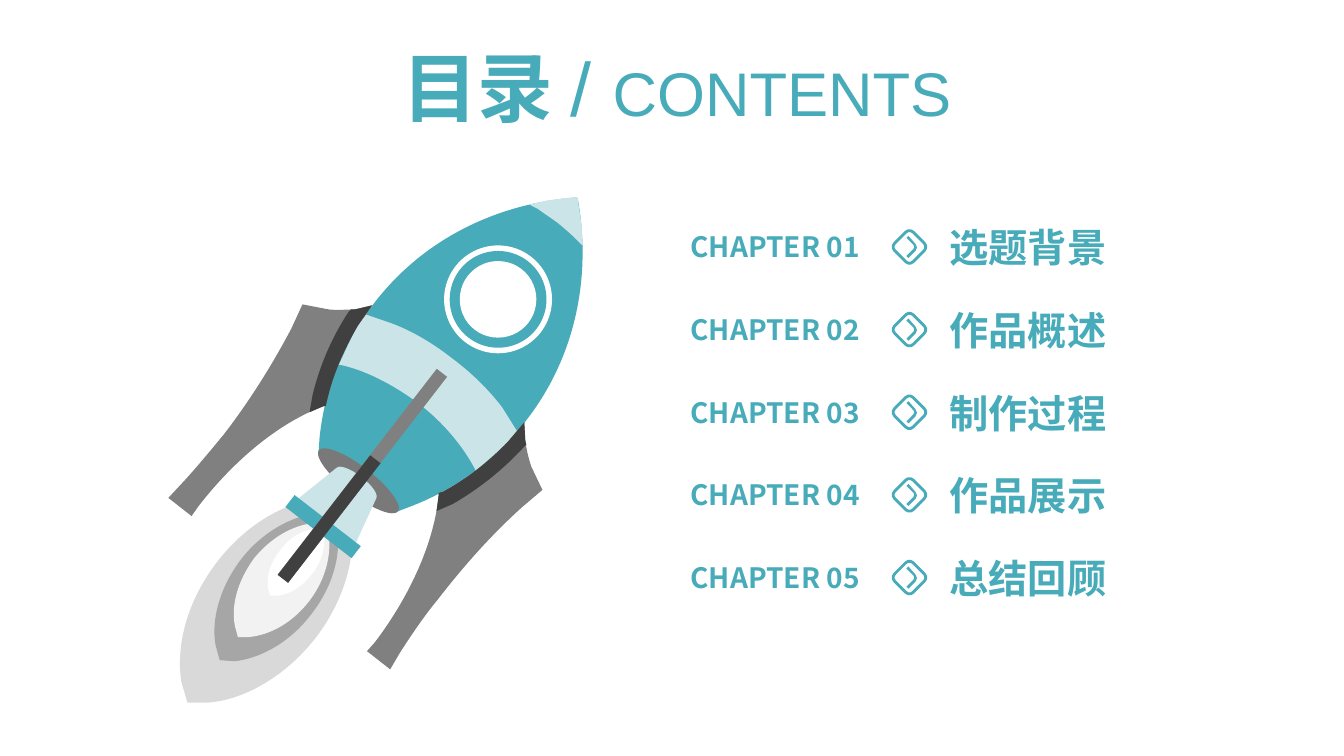
import pptx
import pptx.util
import pptx.dml.color
import pptx.enum.shapes
import pptx.enum.text
import pptx.oxml.ns
import lxml.etree
from pptx.util import Inches

RGBColor = pptx.dml.color.RGBColor
SHAPE = pptx.enum.shapes.MSO_SHAPE
TEXT = pptx.enum.text
qn = pptx.oxml.ns.qn

TEAL = RGBColor(0x47, 0xAB, 0xB9)
PALE = RGBColor(0xCB, 0xE4, 0xE8)
WHITE = RGBColor(0xFF, 0xFF, 0xFF)
GLOW = RGBColor(0xF2, 0xF2, 0xF2)
SMOKE = RGBColor(0xD9, 0xD9, 0xD9)
ASH = RGBColor(0xA6, 0xA6, 0xA6)
GREY = RGBColor(0x80, 0x80, 0x80)
NOZZLE = RGBColor(0x79, 0x79, 0x79)
DARK = RGBColor(0x40, 0x40, 0x40)

CJK = "Noto Sans CJK SC"
CHAPTERS = ["选题背景", "作品概述", "制作过程", "作品展示", "总结回顾"]
ROW_PITCH = 0.82
TILT = 37.7

# Outlines in inches: commas part the segments.
# Two numbers are a corner, six are a Bezier curve.
CHEVRON = ("9.01 2.34, 9.08 2.42, 9.1 2.44 9.1 2.47 9.08 2.49, 9.01 2.56, 8.99 2.54, "
           "9.06 2.47, 9.07 2.46 9.07 2.44 9.06 2.43, 8.99 2.36")
HULL = ("5.72 1.96, 5.73 1.97, 5.87 2.74 5.71 3.54 5.22 4.17, 4.91 4.57 4.51 4.86 4.06 5.03, "
        "3.93 5.08, 3.89 5.09, 3.8 5.08 3.64 5 3.47 4.87, 3.31 4.75 3.19 4.61 3.16 4.52, "
        "3.16 4.48, 3.17 4.34, 3.22 3.86 3.4 3.4 3.71 3.01, 4.2 2.37 4.93 2.02 5.71 1.96")
FLAMES = [
    (SMOKE, "3.42 4.94, 3.48 5.14, 3.54 5.51 3.42 5.95 3.13 6.33, 2.83 6.71 2.43 6.94 2.07 6.97, "
            "1.86 6.97, 1.8 6.77, 1.74 6.4 1.86 5.96 2.15 5.58, 2.44 5.2 2.84 4.97 3.21 4.94"),
    (ASH, "3.3 5.09, 3.34 5.24, 3.39 5.5 3.3 5.82 3.09 6.09, 2.88 6.37 2.59 6.53 2.33 6.56, "
          "2.18 6.55, 2.14 6.41, 2.09 6.15 2.18 5.83 2.39 5.55, 2.6 5.28 2.89 5.12 3.15 5.09"),
    (GLOW, "3.23 5.19, 3.26 5.3, 3.29 5.5 3.23 5.75 3.07 5.96, 2.9 6.18 2.68 6.3 2.47 6.32, "
           "2.36 6.32, 2.33 6.21, 2.29 6 2.36 5.76 2.52 5.54, 2.69 5.33 2.91 5.21 3.11 5.19"),
    (WHITE, "3.19 5.25, 3.21 5.31, 3.23 5.43 3.19 5.58 3.09 5.7, 3 5.82 2.87 5.9 2.75 5.91, "
            "2.68 5.91, 2.66 5.84, 2.64 5.72 2.68 5.58 2.78 5.46, 2.87 5.33 3 5.26 3.12 5.25"),
]
BANDS = [
    (PALE, "4.49 3.56, 4.68 3.7 4.85 3.87 4.98 4.04, 5.13 4.28, 5.1 4.32, "
           "5.06 4.36 5.02 4.41 4.97 4.45, 4.72 4.67, 4.71 4.65, 4.6 4.44 4.41 4.2 4.15 4, "
           "3.88 3.8 3.61 3.67 3.38 3.62, 3.36 3.62, 3.5 3.32, 3.53 3.26 3.56 3.21 3.6 3.16, "
           "3.63 3.12, 3.89 3.21, 4.1 3.29 4.3 3.41 4.49 3.56"),
    (PALE, "5.72 1.96, 5.73 1.97, 5.74 2.06 5.76 2.16 5.77 2.26, 5.77 2.43, 5.71 2.37, "
           "5.65 2.31 5.59 2.26 5.53 2.21, 5.46 2.16 5.4 2.12 5.33 2.07, 5.25 2.03, 5.42 1.99, "
           "5.52 1.98 5.61 1.96 5.71 1.96"),
]
EXHAUST = ("3.58 4.73, 3.69 4.81 3.76 4.91 3.73 4.95, 3.51 5.43, 2.93 4.97, 3.34 4.64, "
           "3.37 4.61 3.48 4.65 3.58 4.73")
FINS = [
    (GREY, "3.69 3.03, 3.55 3.23, 3.41 3.47 3.3 3.72 3.24 3.99, 3.23 4.03, 3.21 4.03, "
           "2.8 4.18 2.35 4.53 1.97 5.02, 1.9 5.12, 1.67 4.94, 1.8 4.8, "
           "1.94 4.65 2.08 4.48 2.22 4.31, 2.49 3.96 2.71 3.6 2.89 3.26, 3 3.02, 3.26 3.07, "
           "3.35 3.08 3.44 3.07 3.52 3.07"),
    (DARK, "3.69 3.03, 3.55 3.23, 3.41 3.47 3.3 3.72 3.24 3.99, 3.23 4.03, 3.21 4.03, "
           "3.07 4.09, 3.1 3.92, 3.17 3.63 3.29 3.35 3.46 3.09, 3.48 3.07, 3.52 3.07"),
    (GREY, "5.2 4.19, 5.04 4.38, 4.85 4.58 4.63 4.75 4.39 4.88, 4.35 4.89, 4.35 4.92, "
           "4.31 5.35 4.09 5.88 3.72 6.37, 3.64 6.46, 3.87 6.64, 3.97 6.47, "
           "4.08 6.3 4.2 6.12 4.34 5.95, 4.61 5.6 4.89 5.29 5.18 5.03, 5.38 4.86, 5.27 4.63, "
           "5.24 4.54 5.22 4.45 5.21 4.37"),
    (DARK, "5.2 4.19, 5.04 4.38, 4.85 4.58 4.63 4.75 4.39 4.88, 4.35 4.89, 4.35 4.92, "
           "4.33 5.07, 4.49 5, 4.75 4.85 4.99 4.66 5.2 4.43, 5.22 4.41, 5.21 4.37"),
]


def paint(shape, color):
    shape.shadow.inherit = False
    shape.fill.solid()
    shape.fill.fore_color.rgb = color
    shape.line.fill.background()


def add_outline(s, color, outline, dy=0):
    segments = []
    for segment in outline.split(","):
        n = [float(v) for v in segment.split()]
        segments.append([(Inches(x), Inches(y + dy)) for x, y in zip(n[::2], n[1::2])])
    builder = s.shapes.build_freeform(*segments[0][0])
    builder.add_line_segments([point for nodes in segments[1:] for point in nodes])
    shape = builder.convert_to_shape()
    # Join each three nodes of a curve into one Bezier segment
    lines = iter(list(shape._element.iter(qn("a:lnTo"))))
    for nodes in segments[1:]:
        group = [next(lines) for _ in nodes]
        if len(group) == 3:
            curve = lxml.etree.Element(qn("a:cubicBezTo"))
            group[0].addprevious(curve)
            for line in group:
                curve.append(line[0])
                line.getparent().remove(line)
    paint(shape, color)


def add_preset(s, kind, color, *box):
    shape = s.shapes.add_shape(kind, *map(Inches, box))
    shape.rotation = TILT
    paint(shape, color)


def add_diamond(s, dy):
    shape = s.shapes.add_shape(SHAPE.ROUNDED_RECTANGLE, Inches(8.89), Inches(2.32 + dy),
                               Inches(0.26), Inches(0.26))
    shape.adjustments[0] = 0.2
    shape.rotation = 45
    shape.shadow.inherit = False
    shape.fill.background()
    shape.line.color.rgb = TEAL
    shape.line.width = pptx.util.Pt(2)


def add_run(p, text, **font):
    r = p.add_run()
    r.text = text
    for name, value in font.items():
        setattr(r.font, name, value)
    r.font.color.rgb = TEAL
    # East Asian glyphs need their own typeface
    ea = lxml.etree.SubElement(r.font._element, qn("a:ea"))
    ea.set("typeface", CJK)


def add_label(s, text, size, wrap, *box):
    tf = s.shapes.add_textbox(*map(Inches, box)).text_frame
    tf.word_wrap = wrap
    add_run(tf.paragraphs[0], text, size=pptx.util.Pt(size), name=CJK, bold=True)


def add_title(s):
    title = s.shapes.title
    box = dict(left=3.3, top=0.36, width=6.83, height=1.01)
    for name, value in box.items():
        setattr(title, name, Inches(value))
    tf = title.text_frame
    tf.auto_size = TEXT.MSO_AUTO_SIZE.NONE
    tf.vertical_anchor = TEXT.MSO_ANCHOR.TOP
    p = tf.paragraphs[0]
    p.alignment = TEXT.PP_ALIGN.CENTER
    for text, size, bold in [("目录 ", 54, True), ("/ ", 54, False), ("CONTENTS", 44, False)]:
        add_run(p, text, size=pptx.util.Pt(size), name="Arial", bold=bold)


def add_chapter(s, index, name):
    dy = index * ROW_PITCH
    add_label(s, f"CHAPTER {index + 1:02}", 20, False, 6.75, 2.23 + dy, 1.98, 0.44)
    add_label(s, name, 28, True, 9.32, 2.17 + dy, 2.31, 0.57)
    add_outline(s, TEAL, CHEVRON, dy)
    add_diamond(s, dy)


def add_rocket(s):
    # Hull, flames and nozzle
    for color, outline in [(TEAL, HULL)] + FLAMES:
        add_outline(s, color, outline)
    add_preset(s, SHAPE.OVAL, NOZZLE, 3.06, 4.63, 0.99, 0.28)
    for color, outline in BANDS:
        add_outline(s, color, outline)
    # Porthole rings share one centre
    for color, size in [(WHITE, 1.07), (TEAL, 0.96), (WHITE, 0.76)]:
        add_preset(s, SHAPE.OVAL, color, 4.94 - size / 2, 2.97 - size / 2, size, size)
    # Exhaust and centre fin
    add_outline(s, PALE, EXHAUST)
    add_preset(s, SHAPE.RECTANGLE, TEAL, 2.79, 5.15, 0.83, 0.15)
    add_preset(s, SHAPE.RECTANGLE, GREY, 3.53, 3.43, 0.13, 2.58)
    add_preset(s, SHAPE.RECTANGLE, DARK, 3.2, 4.4, 0.13, 1.5)
    # Side fins
    for color, outline in FINS:
        add_outline(s, color, outline)


def main():
    prs = pptx.Presentation()
    prs.slide_width, prs.slide_height = Inches(13.33), Inches(7.5)
    s = prs.slides.add_slide(prs.slide_layouts[5])
    add_title(s)
    for index, name in enumerate(CHAPTERS):
        add_chapter(s, index, name)
    add_rocket(s)
    prs.save("out.pptx")


if __name__ == "__main__":
    main()
